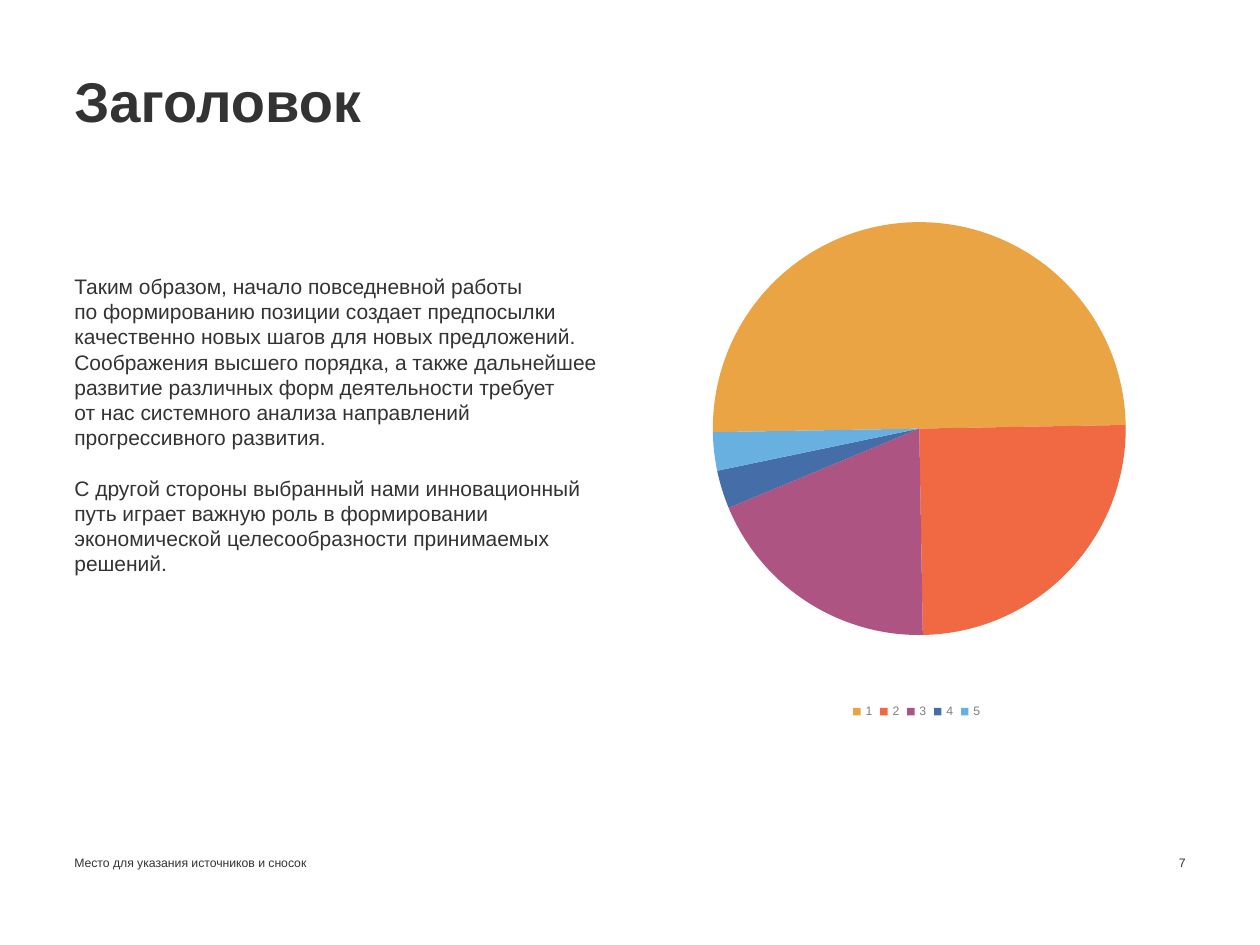
from lxml import etree
from pptx import Presentation
from pptx import util as u
from pptx.chart.data import CategoryChartData
from pptx.dml.color import RGBColor
from pptx.enum import chart as ch, text
from pptx.oxml import parse_xml
from pptx.oxml.ns import nsdecls, qn

INK = RGBColor(0x33, 0x33, 0x33)
GREY = RGBColor(0x80, 0x80, 0x80)
SLICES = [
    RGBColor(0xEB, 0xA4, 0x44),
    RGBColor(0xF0, 0x69, 0x42),
    RGBColor(0xAD, 0x54, 0x83),
    RGBColor(0x45, 0x6E, 0xA9),
    RGBColor(0x68, 0xB0, 0xE0),
]
BODY = [
    "Таким образом, начало повседневной работы",
    "по формированию позиции создает предпосылки качественно новых шагов "
    "для новых предложений. Соображения высшего порядка, а также дальнейшее "
    "развитие различных форм деятельности требует",
    "от нас системного анализа направлений прогрессивного развития.",
    "С другой стороны выбранный нами инновационный путь играет важную роль "
    "в формировании экономической целесообразности принимаемых решений.",
]
MARGIN = 0.59


class Deck:
    font = "Arial"
    small = 7

    def __init__(self, prs):
        self.s = prs.slides.add_slide(prs.slide_layouts[1])

    def fill_text(self, sp, box, paragraphs, size, bold=False, spacing=0.9,
                  align=text.PP_ALIGN.LEFT, anchor=text.MSO_ANCHOR.TOP):
        sp.left, sp.top, sp.width, sp.height = (u.Inches(v) for v in box)
        tf = sp.text_frame
        tf.word_wrap = True
        tf.auto_size = text.MSO_AUTO_SIZE.NONE
        tf.vertical_anchor = anchor
        tf.margin_left = tf.margin_top = tf.margin_right = tf.margin_bottom = 0
        for i, line in enumerate(paragraphs):
            p = tf.paragraphs[0] if i == 0 else tf.add_paragraph()
            p.alignment = align
            p.line_spacing = spacing
            p.space_before = u.Pt(0)
            r = p.add_run()
            r.text = line
            r.font.name, r.font.size, r.font.bold = self.font, u.Pt(size), bold
            r.font.color.rgb = INK
        return tf

    def title(self, box, line):
        self.fill_text(self.s.shapes.title, box, [line], 32, bold=True)

    def body(self, box, lines):
        tf = self.fill_text(self.s.placeholders[1], box, lines, 12,
                            spacing=u.Pt(14.4))
        tf.paragraphs[-1].space_before = u.Pt(14.4)
        for p in tf.paragraphs:
            pPr = p._p.get_or_add_pPr()
            pPr.set("marL", "0")
            pPr.set("indent", "0")
            etree.SubElement(pPr, qn("a:buNone"))

    def note(self, box, line, align=text.PP_ALIGN.LEFT):
        sp = self.s.shapes.add_textbox(0, 0, 0, 0)
        self.fill_text(sp, box, [line], self.small, align=align,
                       anchor=text.MSO_ANCHOR.BOTTOM)

    def pie(self, box, values, start, plot):
        data = CategoryChartData()
        data.categories = [str(i + 1) for i in range(len(values))]
        data.add_series("Series 1", values)
        chart = self.s.shapes.add_chart(
            ch.XL_CHART_TYPE.PIE, *(u.Inches(v) for v in box), data).chart
        chart.has_title = False
        chart.font.name, chart.font.size = self.font, u.Pt(self.small)
        chart.font.color.rgb = GREY
        chart.has_legend = True
        chart.legend.position = ch.XL_LEGEND_POSITION.BOTTOM
        chart.legend.include_in_layout = False
        pie = chart.plots[0]
        pie.vary_by_categories = True
        for i, color in enumerate(SLICES):
            fmt = pie.series[0].points[i].format
            fmt.fill.solid()
            fmt.fill.fore_color.rgb = color
            fmt.line.fill.background()

        # Rotation of the first slice and the place of the plot
        node = pie._element
        for old in node.findall(qn("c:firstSliceAng")):
            node.remove(old)
        etree.SubElement(node, qn("c:firstSliceAng")).set("val", str(start))
        area = node.getparent()
        for old in area.findall(qn("c:layout")):
            area.remove(old)
        sizes = "".join(f'<c:{k} val="{v}"/>' for k, v in zip("xywh", plot))
        area.insert(0, parse_xml(
            f'<c:layout {nsdecls("c")}><c:manualLayout>'
            '<c:layoutTarget val="inner"/><c:xMode val="edge"/>'
            f'<c:yMode val="edge"/>{sizes}</c:manualLayout></c:layout>'))


def main():
    prs = Presentation()
    prs.slide_width, prs.slide_height = u.Inches(10), u.Inches(7.5)
    deck = Deck(prs)

    # Heading and text
    deck.title((MARGIN, 0.59, 6.09, 0.5), "Заголовок")
    deck.body((MARGIN, 2.17, 4.27, 3.98), BODY)

    # Pie chart
    deck.pie((5.14, 1.37, 4.27, 4.37), [50, 25, 19, 3, 3], start=269,
             plot=(0.12, 0.09, 0.77, 0.75))

    # Footnote and page number
    deck.note((MARGIN, 6.75, 5.18, 0.16),
              "Место для указания источников и сносок")
    deck.note((8.78, 6.75, 0.63, 0.16), "7", text.PP_ALIGN.RIGHT)

    prs.save("out.pptx")


if __name__ == "__main__":
    main()
